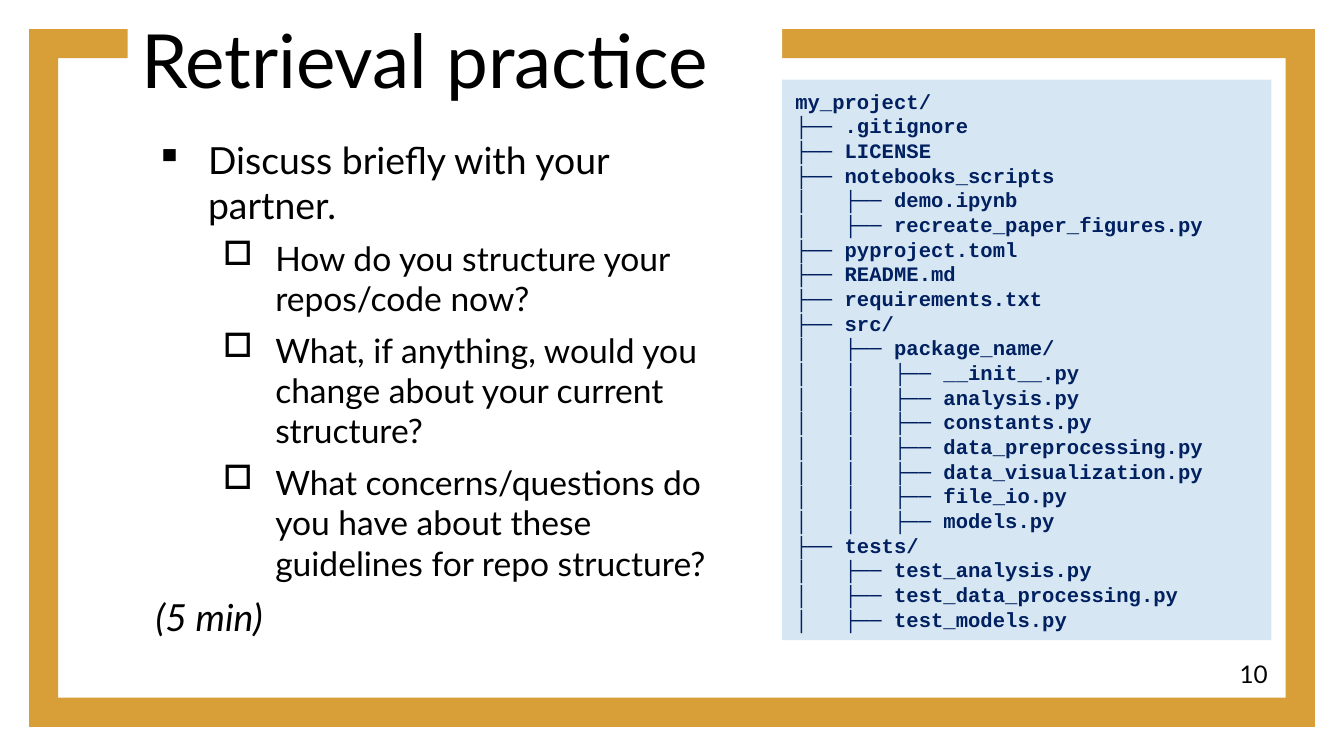
from pptx import Presentation
from pptx.util import Pt
from pptx.dml.color import RGBColor as Rgb
from pptx.enum.shapes import MSO_SHAPE as Kind
from pptx.enum.text import MSO_ANCHOR as Anchor, MSO_AUTO_SIZE as Auto, PP_ALIGN as Align
from lxml.etree import SubElement
from pptx.oxml.ns import qn

HUES = {"gold": "D89F39", "white": "FFFFFF", "ink": "000000", "pale": "D6E6F2", "navy": "002060"}

TITLE = "Retrieval practice"
TASK = "Discuss briefly with your partner."
ASKS = [
    "How do you structure your repos/code now?",
    "What, if anything, would you change about your current structure?",
    "What concerns/questions do you have about these guidelines for repo structure?",
]
TIME = "(5 min)"
PAGE = "10"
ROOT = "my_project/"
TREE = [
    (0, ".gitignore"), (0, "LICENSE"),
    (0, "notebooks_scripts"), (1, "demo.ipynb"), (1, "recreate_paper_figures.py"),
    (0, "pyproject.toml"), (0, "README.md"), (0, "requirements.txt"),
    (0, "src/"), (1, "package_name/"),
    (2, "__init__.py"), (2, "analysis.py"), (2, "constants.py"),
    (2, "data_preprocessing.py"), (2, "data_visualization.py"),
    (2, "file_io.py"), (2, "models.py"),
    (0, "tests/"), (1, "test_analysis.py"), (1, "test_data_processing.py"), (1, "test_models.py"),
]


def place(*box):
    return [Pt(n) for n in box]


def paint(shape, hue):
    shape.fill.solid()
    shape.fill.fore_color.rgb = Rgb.from_string(HUES[hue])


def block(kind, box, hue):
    shape = page.shapes.add_shape(kind, *place(*box))
    shape.shadow.inherit = False
    paint(shape, hue)
    shape.line.fill.background()
    return shape


def setup(shape, anchor=Anchor.TOP, pad=7.2, drop=7.2, wrap=True):
    frame = shape.text_frame
    frame.auto_size = Auto.NONE
    frame.word_wrap = wrap
    frame.vertical_anchor = anchor
    frame.margin_left = frame.margin_right = Pt(pad)
    frame.margin_top = frame.margin_bottom = Pt(drop)
    return frame


def write(frame, text, size=20, font="Lato", hue="ink", bold=False, italic=False,
          align=Align.LEFT, gap=0, lead=1.0, left=0, first=0, bullet=None, level=0):
    para = frame.paragraphs[0]
    if para.runs:
        para = frame.add_paragraph()
    para.alignment, para.level = align, level
    para.space_before, para.line_spacing = Pt(gap), lead
    run = para.add_run()
    run.text = text
    run.font.size, run.font.name = Pt(size), font
    run.font.bold, run.font.italic = bold, italic
    run.font.color.rgb = Rgb.from_string(HUES[hue])
    props = para._p.get_or_add_pPr()
    props.set("marL", str(Pt(left)))
    props.set("indent", str(Pt(first)))
    if bullet:
        SubElement(props, qn("a:buChar"), char=bullet)
    else:
        SubElement(props, qn("a:buNone"))


deck = Presentation()
deck.slide_width, deck.slide_height = place(720, 405)
page = deck.slides.add_slide(deck.slide_layouts[5])

edge = 15.6
wide, high = 720 - 2 * edge, 405 - 2 * edge
rim = block(Kind.FRAME, (edge, edge, wide, high), "gold")
rim.adjustments[0] = edge / high
page.shapes._spTree.insert(2, rim._element)

title = page.shapes.title
title.left, title.top, title.width, title.height = place(68.4, 0, 350.6, 72)
paint(title, "white")
write(setup(title), TITLE, size=40)

num = page.shapes.add_textbox(*place(655.2, 344.9, 31, 32.4))
write(setup(num, Anchor.MIDDLE, wrap=False), PAGE, size=13, align=Align.RIGHT)

body = setup(page.shapes.add_textbox(*place(68.4, 66.2, 329, 283.7)))
write(body, TASK, gap=6, left=36, first=-28.1, bullet="▪")
for ask in ASKS:
    write(body, ask, size=18, gap=6, left=72, first=-28.1, bullet="□", level=1)
write(body, TIME, italic=True, gap=6, left=7.9)

panel = block(Kind.RECTANGLE, (419, 42.6, 262.2, 300.4), "pale")
code = setup(panel, Anchor.MIDDLE, drop=3.6)
for line in [ROOT] + ["│   " * depth + "├── " + name for depth, name in TREE]:
    write(code, line, size=11, font="Courier New", hue="navy", bold=True, lead=Pt(13.2))

deck.save("out.pptx")
